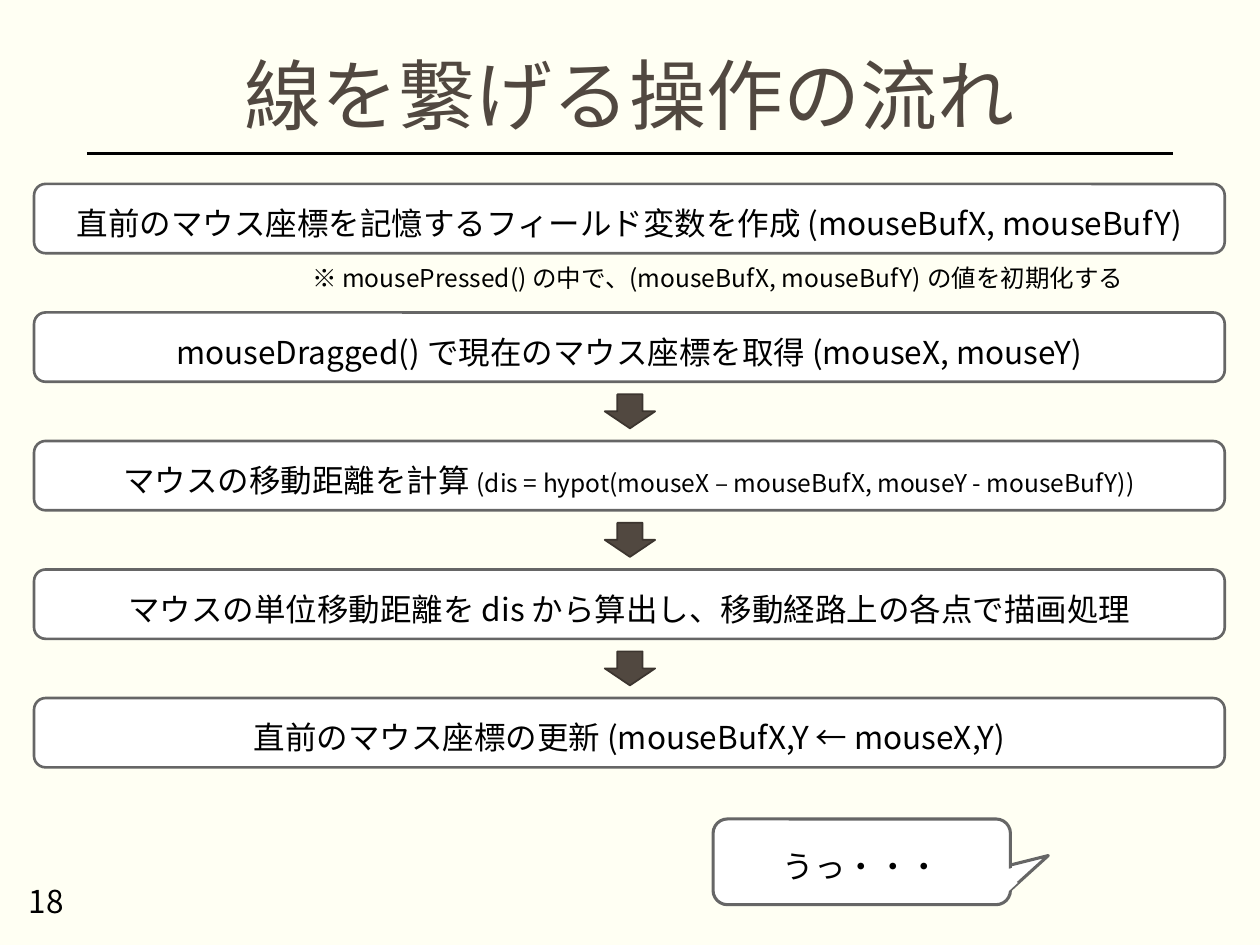
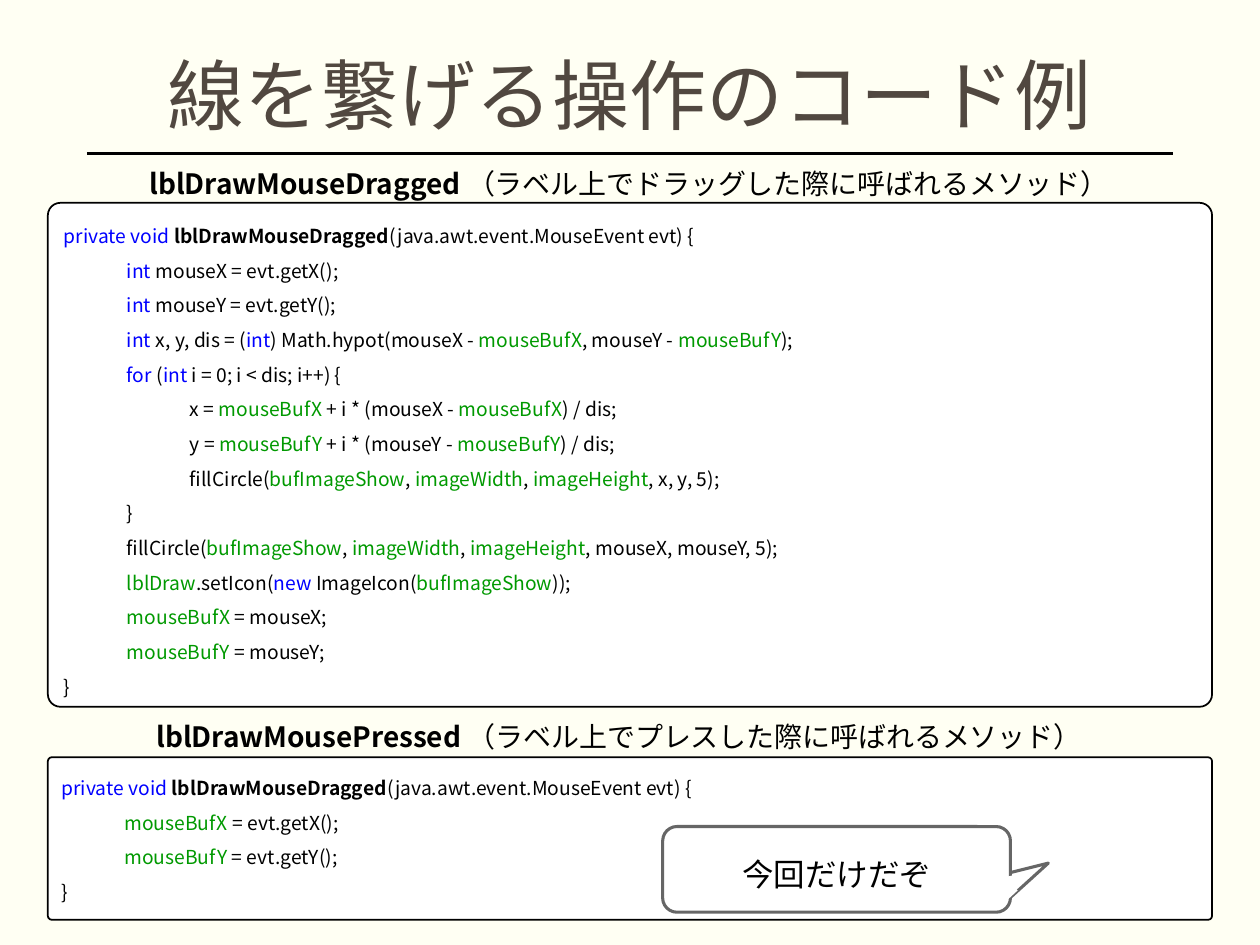
from dataclasses import dataclass
from itertools import groupby

from lxml import etree
from pptx import Presentation
from pptx.dml.color import RGBColor
from pptx.enum.shapes import MSO_CONNECTOR, MSO_SHAPE
from pptx.enum.text import MSO_ANCHOR, MSO_AUTO_SIZE, PP_ALIGN
from pptx.oxml.ns import qn
from pptx.util import Inches, Pt

LINE = MSO_CONNECTOR.STRAIGHT
ROUNDED = MSO_SHAPE.ROUNDED_RECTANGLE
RECTANGLE = MSO_SHAPE.RECTANGLE
DOWN_ARROW = MSO_SHAPE.DOWN_ARROW
LEFT, CENTER = PP_ALIGN.LEFT, PP_ALIGN.CENTER
TOP, MIDDLE = MSO_ANCHOR.TOP, MSO_ANCHOR.MIDDLE
FIXED_SIZE, GROW = MSO_AUTO_SIZE.NONE, MSO_AUTO_SIZE.SHAPE_TO_FIT_TEXT

FONT = "Noto Sans CJK JP"
CREAM, WHITE, BLACK = "FFFFF3", "FFFFFF", "000000"
BROWN, DARK_BROWN, GRAY = "514840", "3C352F", "666666"
BLUE, GREEN = "0000FF", "009900"

KEYWORDS = {"private", "void", "int", "for", "new"}
FIELDS = {"mouseBufX", "mouseBufY", "bufImageShow", "imageWidth", "imageHeight", "lblDraw"}
METHODS = {"lblDrawMouseDragged"}

STEP_LEFT, STEP_TOP, STEP_PITCH = 0.27, 1.46, 1.02
STEP_WIDTH, STEP_HEIGHT = 9.45, 0.55
ARROW_WIDTH, ARROW_HEIGHT, ARROW_GAP = 0.4, 0.27, 0.1
BUBBLE_RIGHT, BUBBLE_HEIGHT = 8.02, 0.68


@dataclass
class Step:
    text: str
    detail: str = ""
    arrow_below: bool = True


@dataclass
class CodePanel:
    method: str
    description: str
    heading_left: float
    heading_top: float
    top: float
    height: float
    code: str


@dataclass
class SeamCover:
    left: float
    drop: float
    width: float
    height: float
    rotation: float


STEPS = [
    Step("直前のマウス座標を記憶するフィールド変数を作成 (mouseBufX, mouseBufY)", arrow_below=False),
    Step("mouseDragged() で現在のマウス座標を取得 (mouseX, mouseY)"),
    Step("マウスの移動距離を計算 ", "(dis = hypot(mouseX – mouseBufX, mouseY - mouseBufY))"),
    Step("マウスの単位移動距離を dis から算出し、移動経路上の各点で描画処理"),
    Step("直前のマウス座標の更新 (mouseBufX,Y ← mouseX,Y)", arrow_below=False),
]

DRAGGED_CODE = """private void lblDrawMouseDragged(java.awt.event.MouseEvent evt) {
    int mouseX = evt.getX();
    int mouseY = evt.getY();
    int x, y, dis = (int) Math.hypot(mouseX - mouseBufX, mouseY - mouseBufY);
    for (int i = 0; i < dis; i++) {
        x = mouseBufX + i * (mouseX - mouseBufX) / dis;
        y = mouseBufY + i * (mouseY - mouseBufY) / dis;
        fillCircle(bufImageShow, imageWidth, imageHeight, x, y, 5);
    }
    fillCircle(bufImageShow, imageWidth, imageHeight, mouseX, mouseY, 5);
    lblDraw.setIcon(new ImageIcon(bufImageShow));
    mouseBufX = mouseX;
    mouseBufY = mouseY;
}"""

PRESSED_CODE = """private void lblDrawMouseDragged(java.awt.event.MouseEvent evt) {
    mouseBufX = evt.getX();
    mouseBufY = evt.getY();
}"""

PANELS = [
    CodePanel("lblDrawMouseDragged ", "（ラベル上でドラッグした際に呼ばれるメソッド）",
              0.6, 1.27, 1.61, 4, DRAGGED_CODE),
    CodePanel("lblDrawMousePressed ", "（ラベル上でプレスした際に呼ばれるメソッド）",
              0.52, 5.66, 6.01, 1.29, PRESSED_CODE),
]

SEAM_COVERS = [
    SeamCover(7.94, 0.36, 0.09, 0.17, 78),
    SeamCover(7.97, 0.46, 0.08, 0.11, 47.5),
]


def color(hex_value: str) -> RGBColor:
    return RGBColor.from_string(hex_value)


def write(paragraph, text: str, size: float = 18, fill: str = BLACK, bold: bool = False) -> None:
    run = paragraph.add_run()
    run.text = text
    run.font.name = FONT
    run.font.size = Pt(size)
    run.font.bold = bold
    run.font.color.rgb = color(fill)
    east_asian = etree.SubElement(run.font._element, qn("a:ea"))
    east_asian.set("typeface", FONT)


def paint(shape, fill: str, line: str = "", width: float = 1) -> None:
    shape.shadow.inherit = False
    shape.fill.solid()
    shape.fill.fore_color.rgb = color(fill)
    if line:
        shape.line.color.rgb = color(line)
        shape.line.width = Pt(width)
    else:
        shape.line.fill.background()


def add_box(slide, kind, left: float, top: float, width: float, height: float,
            fill: str = WHITE, line: str = "", line_width: float = 1):
    shape = slide.shapes.add_shape(kind, Inches(left), Inches(top), Inches(width), Inches(height))
    paint(shape, fill, line, line_width)
    return shape


def add_label_box(slide, left: float, top: float, width: float, height: float, line_width: float):
    shape = add_box(slide, ROUNDED, left, top, width, height, WHITE, GRAY, line_width)
    frame = shape.text_frame
    frame.word_wrap = False
    frame.vertical_anchor = MIDDLE
    frame.margin_top = Inches(0.12)
    paragraph = frame.paragraphs[0]
    paragraph.alignment = CENTER
    return paragraph


def add_text_box(slide, left: float, top: float, width: float, height: float,
                 align=LEFT, wrap: bool = True, fit=GROW):
    box = slide.shapes.add_textbox(Inches(left), Inches(top), Inches(width), Inches(height))
    box.text_frame.word_wrap = wrap
    box.text_frame.auto_size = fit
    paragraph = box.text_frame.paragraphs[0]
    paragraph.alignment = align
    return paragraph


def add_titled_slide(presentation, text: str):
    slide = presentation.slides.add_slide(presentation.slide_layouts.get_by_name("Title Only"))
    rule = slide.shapes.add_connector(LINE, Inches(0.69), Inches(1.22), Inches(9.31), Inches(1.22))
    rule.line.color.rgb = color(BLACK)
    rule.line.width = Pt(2)
    etree.SubElement(rule._element.spPr, qn("a:effectLst"))
    title = slide.shapes.title
    title.left, title.top = Inches(0.69), Inches(0.36)
    title.width, title.height = Inches(8.62), Inches(0.86)
    frame = title.text_frame
    frame.auto_size = FIXED_SIZE
    frame.vertical_anchor = MIDDLE
    paragraph = frame.paragraphs[0]
    paragraph.alignment = CENTER
    paragraph.line_spacing = 0.9
    write(paragraph, text, size=44, fill=BROWN)
    return slide


def add_bubble(slide, text: str, left: float, top: float) -> None:
    builder = slide.shapes.build_freeform(Inches(8), Inches(top + 0.37), scale=1.0)
    builder.add_line_segments([
        (Inches(8.32), Inches(top + 0.29)),
        (Inches(8), Inches(top + 0.58)),
    ], close=True)
    paint(builder.convert_to_shape(), WHITE, GRAY, 1.75)
    write(add_label_box(slide, left, top, BUBBLE_RIGHT - left, BUBBLE_HEIGHT, 1.75), text)
    for cover in SEAM_COVERS:
        patch = add_box(slide, RECTANGLE, cover.left, top + cover.drop, cover.width, cover.height)
        patch.rotation = cover.rotation


def word_format(word: str) -> tuple[str, bool]:
    if word in KEYWORDS:
        return BLUE, False
    return (GREEN if word in FIELDS else BLACK), word in METHODS


def write_code(frame, code: str) -> None:
    for index, line in enumerate(code.splitlines()):
        paragraph = frame.paragraphs[0] if index == 0 else frame.add_paragraph()
        paragraph.alignment = LEFT
        paragraph.line_spacing = 1.5
        statement = line.lstrip()
        depth = (len(line) - len(statement)) // 4
        if depth:
            paragraph.level = depth
            properties = paragraph._p.get_or_add_pPr()
            properties.set("marL", str(Inches(0.5 * depth)))
            properties.set("indent", "0")
        words = ["".join(letters) for _, letters in groupby(statement, str.isalnum)]
        for (fill, bold), group in groupby(words, word_format):
            write(paragraph, "".join(group), size=11, fill=fill, bold=bold)


def add_code_panel(slide, panel: CodePanel) -> None:
    heading = add_text_box(slide, panel.heading_left, panel.heading_top, 8.79, 0.37, CENTER)
    write(heading, panel.method, size=16, bold=True)
    write(heading, panel.description, size=16)
    shape = add_box(slide, ROUNDED, 0.38, panel.top, 9.24, panel.height, WHITE, BLACK)
    shape.adjustments[0] = 0.025
    shape.text_frame.word_wrap = True
    shape.text_frame.vertical_anchor = TOP
    write_code(shape.text_frame, panel.code)


def build_flow_slide(presentation) -> None:
    slide = add_titled_slide(presentation, "線を繋げる操作の流れ")
    for index, step in enumerate(STEPS):
        top = STEP_TOP + index * STEP_PITCH
        paragraph = add_label_box(slide, STEP_LEFT, top, STEP_WIDTH, STEP_HEIGHT, 1.5)
        write(paragraph, step.text)
        if step.detail:
            write(paragraph, step.detail, size=14)
        if step.arrow_below:
            add_box(slide, DOWN_ARROW, 5 - ARROW_WIDTH / 2, top + STEP_HEIGHT + ARROW_GAP,
                    ARROW_WIDTH, ARROW_HEIGHT, BROWN, DARK_BROWN)
    note = add_text_box(slide, 2.38, 2.04, 6.98, 0.34, wrap=False)
    write(note, "※ mousePressed() の中で、(mouseBufX, mouseBufY) の値を初期化する", size=14)
    add_bubble(slide, "うっ・・・", 5.66, 6.5)
    write(add_text_box(slide, 0.13, 6.95, 2.25, 0.4, fit=FIXED_SIZE), "18")


def build_code_slide(presentation) -> None:
    slide = add_titled_slide(presentation, "線を繋げる操作のコード例")
    for panel in PANELS:
        add_code_panel(slide, panel)
    add_bubble(slide, "今回だけだぞ", 5.26, 6.56)


def main() -> None:
    presentation = Presentation()
    presentation.slide_width, presentation.slide_height = Inches(10), Inches(7.5)
    background = presentation.slide_master.background.fill
    background.solid()
    background.fore_color.rgb = color(CREAM)
    build_flow_slide(presentation)
    build_code_slide(presentation)
    presentation.save("out.pptx")


if __name__ == "__main__":
    main()
